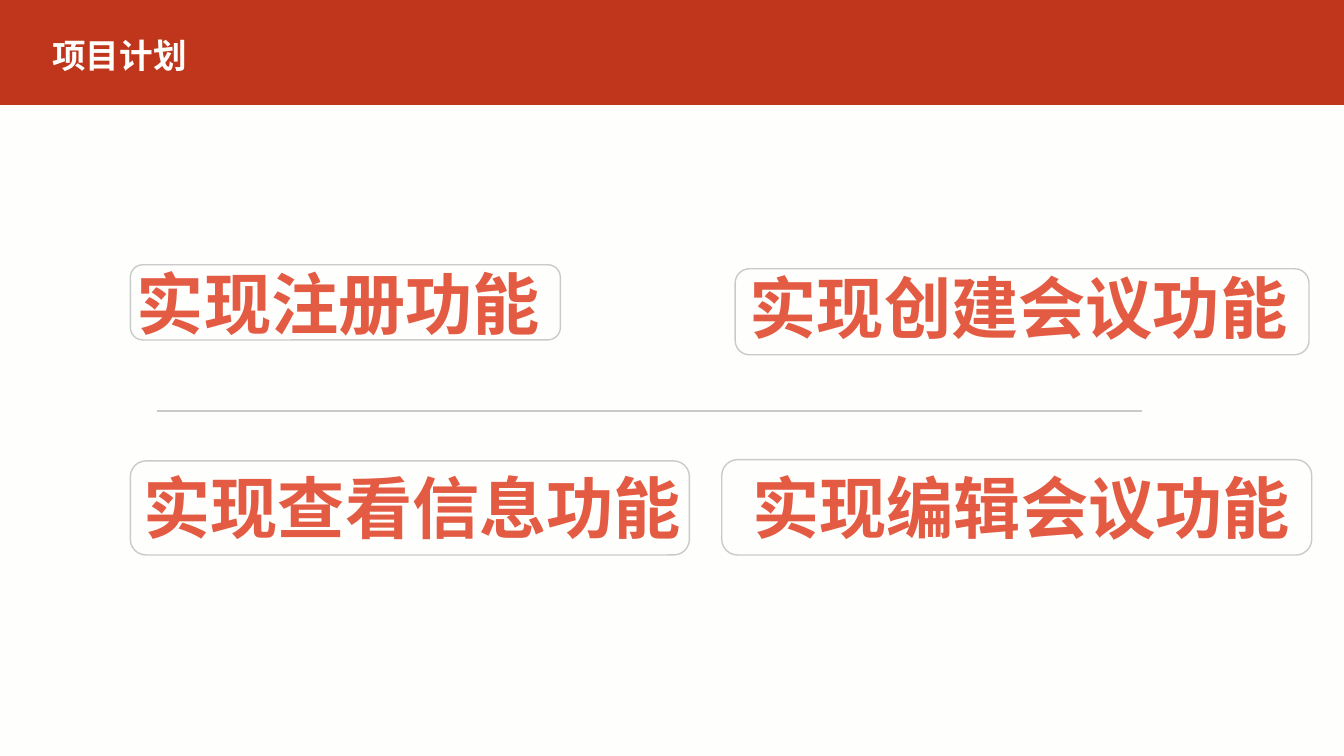
"""Build the project plan slide with four feature cards."""
from lxml import etree
from pptx import Presentation
from pptx.dml.color import RGBColor
from pptx.enum.shapes import MSO_CONNECTOR, MSO_SHAPE
from pptx.enum.text import MSO_AUTO_SIZE
from pptx.oxml.ns import qn
from pptx.util import Inches, Pt

RECTANGLE = MSO_SHAPE.RECTANGLE
ROUNDED = MSO_SHAPE.ROUNDED_RECTANGLE
STRAIGHT = MSO_CONNECTOR.STRAIGHT
GROW = MSO_AUTO_SIZE.SHAPE_TO_FIT_TEXT

PAPER, BRICK, CORAL, GREY = "FEFEFC", "BF361C", "E35B42", "CACACA"
TITLE = "项目计划"
TITLE_BOX = (0.29, 0.21, 1.22, 0.4)
BANNER = (0, 0, 10, 0.78)
DIVIDER = (1.17, 3.06, 8.5, 3.06)
CARDS = [
    ("实现注册功能", (0.92, 1.9, 3.24, 0.71), (0.97, 1.97, 3.2, 0.56)),
    ("实现创建会议功能", (5.48, 1.93, 4.26, 0.71), (5.47, 2, 4.27, 0.64)),
    ("实现查看信息功能", (0.97, 3.42, 4.26, 0.71), (0.97, 3.43, 4.16, 0.7)),
    ("实现编辑会议功能", (5.5, 3.42, 4.26, 0.71), (5.37, 3.42, 4.39, 0.71)),
]


def color(value):
    return RGBColor.from_string(value)


def inches(values):
    return [Inches(value) for value in values]


def add_text(page, text, place, size, font_name, text_color):
    box = page.shapes.add_textbox(*inches(place))
    frame = box.text_frame
    frame.word_wrap = False
    frame.auto_size = GROW
    para = frame.paragraphs[0]
    span = para.add_run()
    span.text = text
    font = span.font
    font.size, font.bold, font.name = Pt(size), True, font_name
    font.color.rgb = color(text_color)
    east_asian = etree.SubElement(span._r.get_or_add_rPr(), qn("a:ea"))
    east_asian.set("typeface", font_name)


def add_panel(page, kind, place, fill=None, line=None):
    panel = page.shapes.add_shape(kind, *inches(place))
    panel.shadow.inherit = False
    if fill:
        panel.fill.solid()
        panel.fill.fore_color.rgb = color(fill)
    else:
        panel.fill.background()
    if line:
        panel.line.color.rgb = color(line)
        panel.line.width = Pt(0.75)
    else:
        panel.line.fill.background()


deck = Presentation()
deck.slide_width = Inches(10)
deck.slide_height = deck.slide_width * 9 // 16
page = deck.slides.add_slide(deck.slide_layouts[6])
page.background.fill.solid()
page.background.fill.fore_color.rgb = color(PAPER)

add_panel(page, RECTANGLE, BANNER, fill=BRICK)
add_text(page, TITLE, TITLE_BOX, 18, "Noto Sans CJK SC", PAPER)

for label, text_place, frame_place in CARDS:
    add_text(page, label, text_place, 36, "Arial", CORAL)
    add_panel(page, ROUNDED, frame_place, line=GREY)

divider = page.shapes.add_connector(STRAIGHT, *inches(DIVIDER))
divider.line.color.rgb = color(GREY)
divider.line.width = Pt(1)
etree.SubElement(divider._element.spPr, qn("a:effectLst"))

deck.save("out.pptx")
